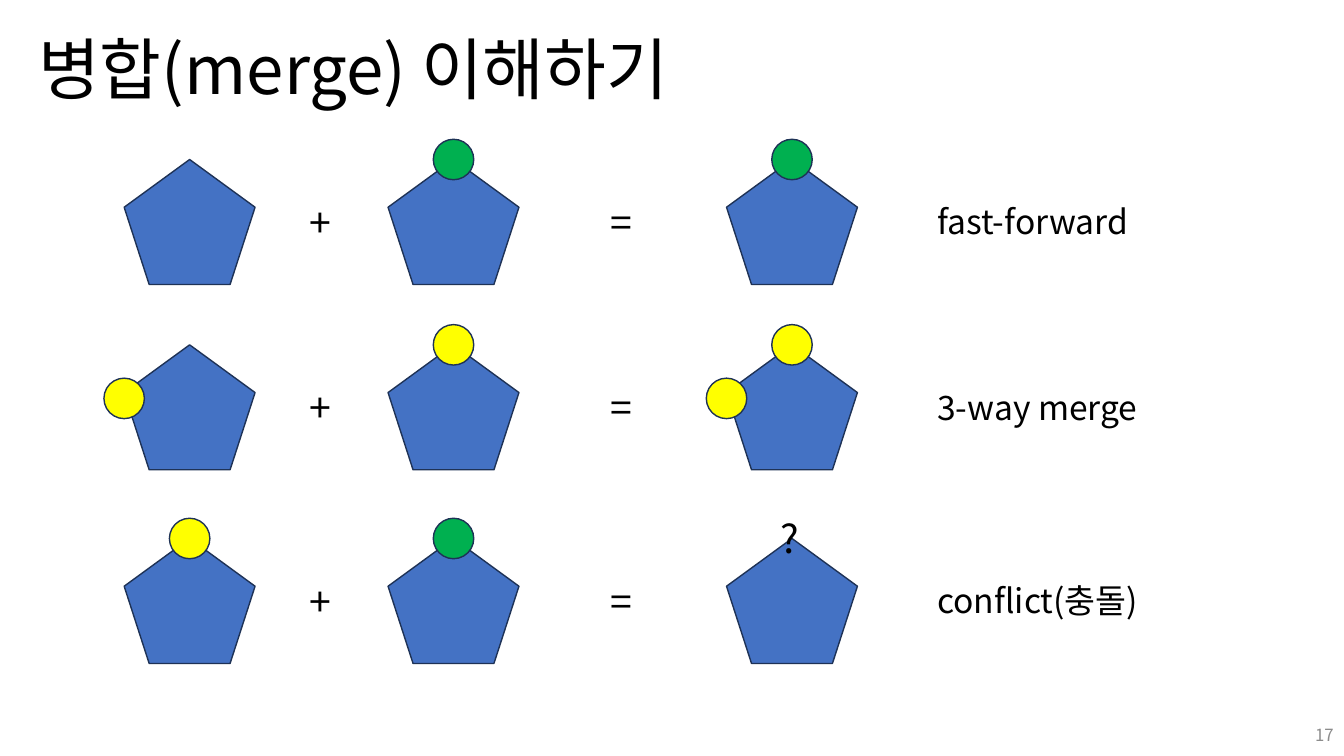
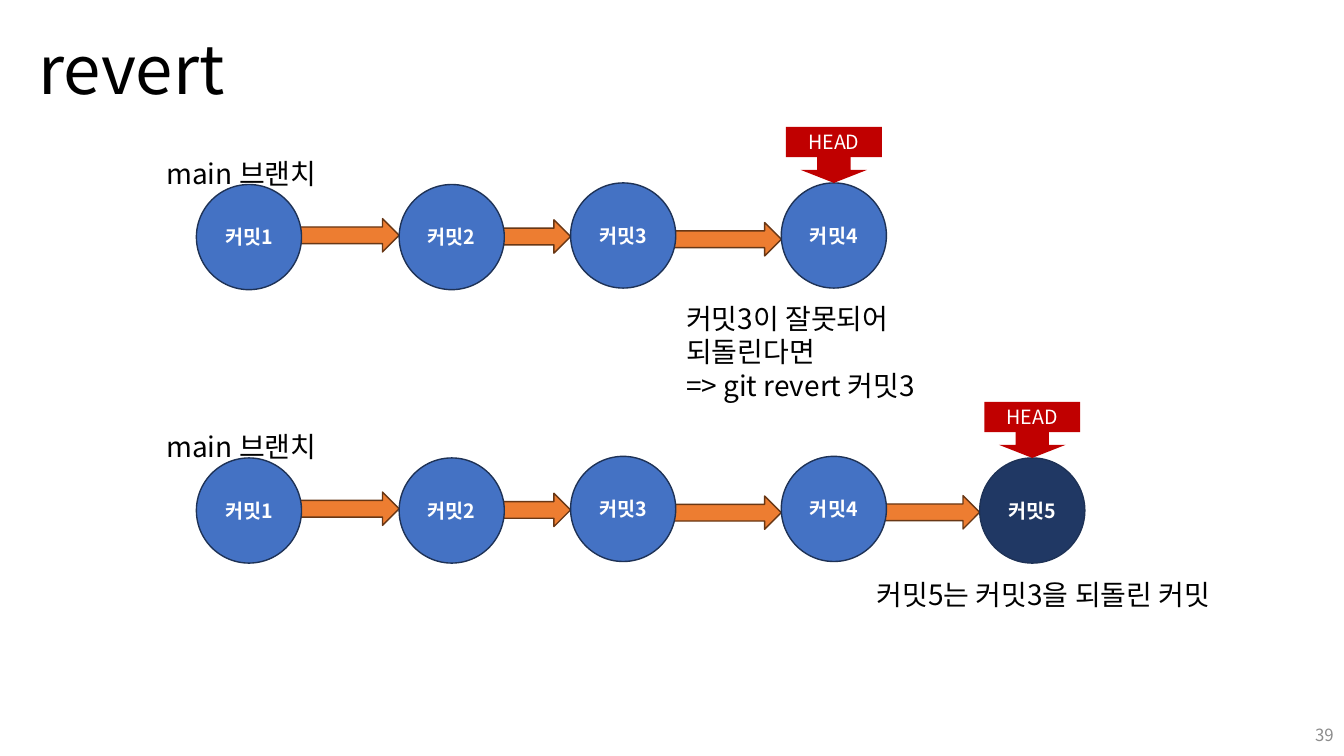
from lxml import etree
from pptx import Presentation
from pptx import util as u
from pptx.dml.color import RGBColor
from pptx.enum import shapes, text
from pptx.oxml.ns import qn

FONT = "Noto Sans CJK KR"
COLORS = {
    "ink": "000000", "white": "FFFFFF", "number": "8C8C8C",
    "blue": "4472C4", "navy": "203864", "blue_edge": "1E3256",
    "orange": "ED7D31", "orange_edge": "683715", "red": "C00000",
    "yellow": "FFFF00", "green": "00B050",
}
KIND = shapes.MSO_SHAPE
ALIGN = text.PP_ALIGN
ANCHOR = text.MSO_ANCHOR

PENTAGON_WIDTH, PENTAGON_HEIGHT = 3.3, 3.15
PENTAGON_LEFTS = (3.13, 9.78, 18.31)
SIGNS = (("+", 7.54), ("=", 15.14))
DOT = 1.02
DOT_SPOTS = {"top": (PENTAGON_WIDTH / 2, 0), "side": (0, 1.35)}
MERGE_ROWS = (
    (4.02, "fast-forward",
     ({}, {"top": "green"}, {"top": "green"})),
    (8.69, "3-way merge",
     ({"side": "yellow"}, {"top": "yellow"}, {"top": "yellow", "side": "yellow"})),
    (13.57, "conflict(충돌)",
     ({"top": "yellow"}, {"top": "green"}, {})),
)

COMMIT = 2.65
COMMIT_SPOTS = ((4.95, 0), (10.06, 0), (14.38, -0.04), (19.69, -0.04), (24.69, 0))
ARROWS = ((3.07, 1.28), (3.07, 1.31), (2.77, 1.38), (2.74, 1.37))
ARROW_HEIGHT = 0.84


def rgb(name):
    return RGBColor.from_string(COLORS[name])


def write(frame, words, size, color="ink", bold=False, align=ALIGN.LEFT,
          anchor=ANCHOR.TOP):
    frame.text = words
    frame.word_wrap = True
    frame.vertical_anchor = anchor
    for para in frame.paragraphs:
        para.alignment = align
        for span in para.runs:
            span.font.name = FONT
            span.font.size = u.Pt(size)
            span.font.bold = bold
            span.font.color.rgb = rgb(color)
            east_asian = etree.SubElement(span._r.get_or_add_rPr(), qn("a:ea"))
            east_asian.set("typeface", FONT)


def add_text(page, left, top, width, height, words, size, **style):
    box = page.shapes.add_textbox(u.Cm(left), u.Cm(top), u.Cm(width), u.Cm(height))
    write(box.text_frame, words, size, **style)
    box.text_frame.auto_size = text.MSO_AUTO_SIZE.SHAPE_TO_FIT_TEXT


def add_figure(page, kind, left, top, width, height, fill, edge=None):
    figure = page.shapes.add_shape(
        kind, u.Cm(left), u.Cm(top), u.Cm(width), u.Cm(height))
    figure.shadow.inherit = False
    figure.fill.solid()
    figure.fill.fore_color.rgb = rgb(fill)
    if edge:
        figure.line.color.rgb = rgb(edge)
        figure.line.width = u.Pt(1)
    else:
        figure.line.fill.background()
    return figure


def add_page(deck, title, number):
    page = deck.slides.add_slide(deck.slide_layouts[5])
    heading = page.shapes.title
    heading.left, heading.top = u.Cm(0.71), u.Cm(0)
    heading.width, heading.height = u.Cm(29.21), u.Cm(3.68)
    write(heading.text_frame, title, 48, anchor=ANCHOR.MIDDLE)
    heading.text_frame.auto_size = text.MSO_AUTO_SIZE.NONE
    heading.text_frame.paragraphs[0].line_spacing = 0.9
    add_text(page, 26.24, 18.01, 7.62, 1.02, number, 12, color="number",
             align=ALIGN.RIGHT, anchor=ANCHOR.MIDDLE)
    return page


def add_version(page, left, top, dots):
    add_figure(page, KIND.REGULAR_PENTAGON, left, top,
               PENTAGON_WIDTH, PENTAGON_HEIGHT, "blue", "blue_edge")
    for spot, color in dots.items():
        across, down = DOT_SPOTS[spot]
        add_figure(page, KIND.OVAL, left + across - DOT / 2, top + down - DOT / 2,
                   DOT, DOT, color, "blue_edge")


def add_merge_row(page, top, label, versions):
    for left, dots in zip(PENTAGON_LEFTS, versions):
        add_version(page, left, top, dots)
    for sign, left in SIGNS:
        add_text(page, left, top + 0.85, 1.12, 1.45, sign, 28)
    add_text(page, 23.37, top + 0.93, 6.8, 1.27, label, 24)


def add_head_tag(page, center, bottom):
    add_figure(page, KIND.DOWN_ARROW, center - 0.84, bottom - 0.66, 1.68, 0.66, "red")
    tag = add_figure(page, KIND.RECTANGLE, center - 1.21, bottom - 1.41,
                     2.42, 0.76, "red")
    write(tag.text_frame, "HEAD", 14, color="white", align=ALIGN.CENTER,
          anchor=ANCHOR.MIDDLE)


def add_branch(page, top, count):
    spots = COMMIT_SPOTS[:count]
    for (tip, _), (length, middle) in zip(spots[1:], ARROWS):
        add_figure(page, KIND.RIGHT_ARROW, tip - length, top + middle - ARROW_HEIGHT / 2,
                   length, ARROW_HEIGHT, "orange", "orange_edge")
    for order, (left, shift) in enumerate(spots, 1):
        commit = add_figure(page, KIND.OVAL, left, top + shift, COMMIT, COMMIT,
                            "navy" if order == 5 else "blue", "blue_edge")
        write(commit.text_frame, f"커밋{order}", 14, color="white", bold=True,
              align=ALIGN.CENTER, anchor=ANCHOR.MIDDLE)
    left, shift = spots[-1]
    add_head_tag(page, left + COMMIT / 2, top + shift)
    add_text(page, 3.94, top - 0.84, 4.67, 1.12, "main 브랜치", 20)


def build_merge_page(deck):
    page = add_page(deck, "병합(merge) 이해하기", "17")
    for row in MERGE_ROWS:
        add_merge_row(page, *row)
    add_text(page, 19.41, 12.83, 1.14, 1.45, "?", 28)


def build_revert_page(deck):
    page = add_page(deck, "revert", "39")
    add_branch(page, 4.65, 4)
    add_branch(page, 11.54, 5)
    add_text(page, 17.04, 7.47, 8.66, 1.96,
             "커밋3이 잘못되어 되돌린다면\v=> git revert 커밋3", 20)
    add_text(page, 21.84, 14.43, 9.6, 1.12, "커밋5는 커밋3을 되돌린 커밋", 20)


def main():
    deck = Presentation()
    deck.slide_width, deck.slide_height = u.Cm(33.87), u.Cm(19.05)
    build_merge_page(deck)
    build_revert_page(deck)
    deck.save("out.pptx")


if __name__ == "__main__":
    main()
